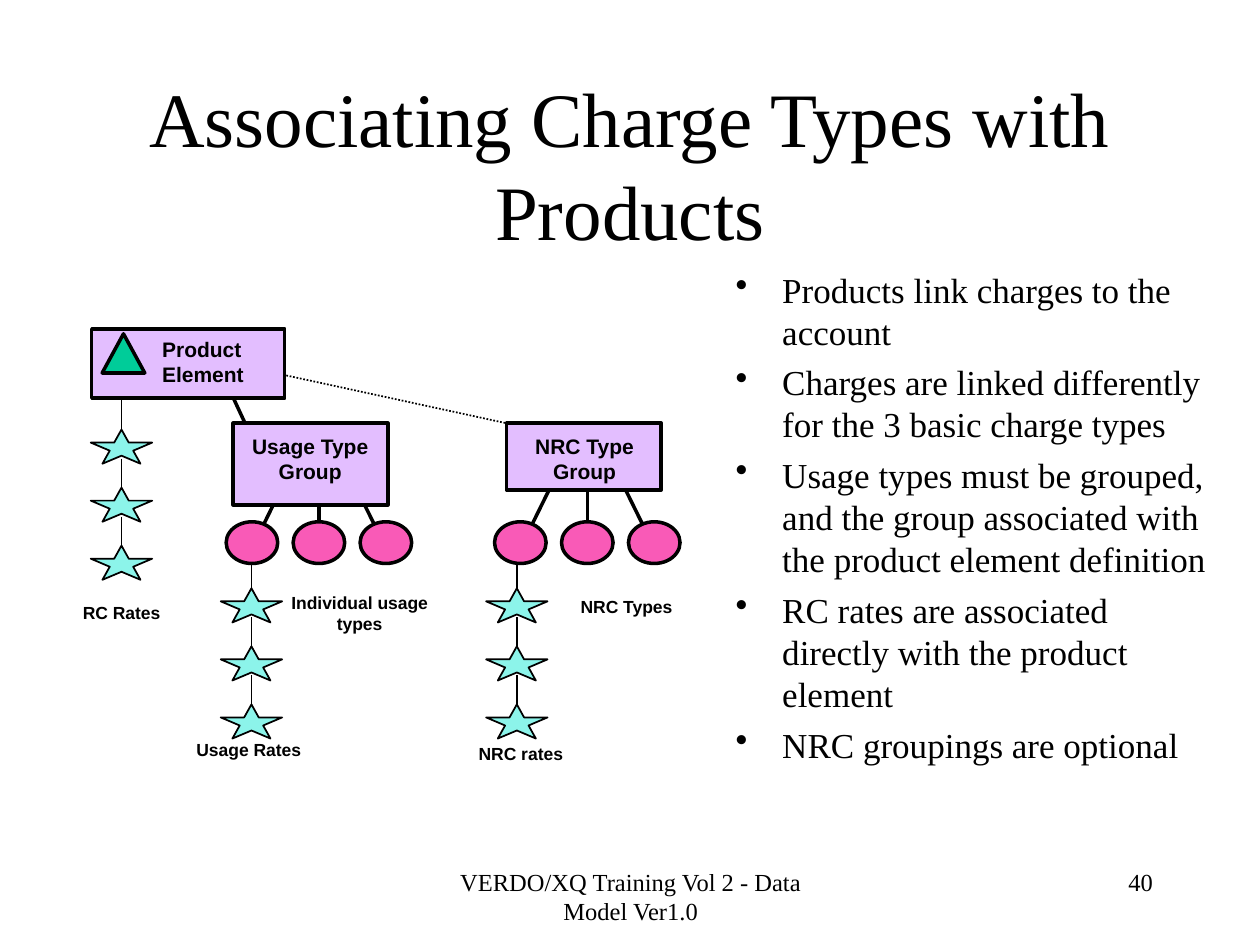
"""Build the slide on associating charge types with products."""
from lxml.etree import SubElement
from pptx import Presentation
from pptx.dml.color import RGBColor
from pptx.enum.dml import MSO_LINE
from pptx.enum.shapes import MSO_CONNECTOR, MSO_SHAPE
from pptx.enum.text import MSO_ANCHOR, PP_ALIGN
from pptx.oxml.ns import qn
from pptx.util import Cm, Pt

BLACK = RGBColor(0x00, 0x00, 0x00)
LILAC = RGBColor(0xE3, 0xBE, 0xFF)
PINK = RGBColor(0xF9, 0x5A, 0xB7)
AQUA = RGBColor(0x8C, 0xF4, 0xEA)
GREEN = RGBColor(0x00, 0xCC, 0x99)

TITLE = "Associating Charge Types with Products"
POINTS = [
    "Products link charges to the account",
    "Charges are linked differently for the 3 basic charge types",
    "Usage types must be grouped, and the group associated with the product element definition",
    "RC rates are associated directly with the product element",
    "NRC groupings are optional",
]
FOOTER = "VERDO/XQ Training Vol 2 - Data Model Ver1.0"
PAGE_NUMBER = "40"

PRODUCT_BOX = (1.85, 6.63, 3.89, 1.4)
GROUP_BOXES = [(4.7, 8.53, 3.12, 1.65), (10.21, 8.53, 3.12, 1.35)]
PRODUCT_MARK = [(2.06, 7.52), (2.92, 7.52), (2.49, 6.73)]
BOX_LABELS = [
    (["Product", "Element"], (3.02, 6.65, 2.16, 1.27), PP_ALIGN.LEFT, False),
    (["Usage Type Group"], (4.78, 8.61, 2.95, 1.27), PP_ALIGN.CENTER, True),
    (["NRC Type Group"], (10.31, 8.61, 2.95, 1.27), PP_ALIGN.CENTER, True),
]
CAPTIONS = [
    ("RC Rates", (1.42, 12.01, 2.36, 0.69), PP_ALIGN.LEFT, True),
    ("Usage Rates", (3.71, 14.78, 2.62, 0.69), PP_ALIGN.LEFT, False),
    ("NRC rates", (9.4, 14.86, 2.97, 0.69), PP_ALIGN.LEFT, True),
    ("Individual usage types", (5.61, 11.81, 3.28, 1.12), PP_ALIGN.CENTER, True),
    ("NRC Types", (11.4, 11.89, 2.46, 0.69), PP_ALIGN.CENTER, True),
]

GROUP_CENTERS = [6.43, 11.84]
SPOKE_TOP, SPOKE_BOTTOM, SPOKE_SPREAD = 9.65, 11.05, 0.66
BUBBLE_TOP, BUBBLE_WIDTH, BUBBLE_HEIGHT, BUBBLE_STEP = 10.52, 1.04, 0.84, 1.35

RATE_COLUMNS = [(1.83, 8.66, 8.05), (4.45, 11.86, 11.38), (9.8, 11.86, 11.38)]
STAR_WIDTH, STAR_HEIGHT, STAR_STEP, STAR_COUNT = 1.24, 0.69, 1.17, 3

presentation = Presentation()
presentation.slide_width, presentation.slide_height = Cm(25.4), Cm(19.05)
slide = presentation.slides.add_slide(presentation.slide_layouts[6])


def add_text(paragraphs, place, size=12, font="Arial", bold=False, align=PP_ALIGN.LEFT,
             anchor=MSO_ANCHOR.TOP, wrap=True, bullet=False):
    frame = slide.shapes.add_textbox(*map(Cm, place)).text_frame
    frame.word_wrap = wrap
    frame.vertical_anchor = anchor
    for index, words in enumerate(paragraphs):
        paragraph = frame.paragraphs[0] if index == 0 else frame.add_paragraph()
        paragraph.alignment = align
        run = paragraph.add_run()
        run.text = words
        run.font.name, run.font.size, run.font.bold = font, Pt(size), bold
        run.font.color.rgb = BLACK
        if bullet:
            paragraph.space_before = Pt(5)
            properties = paragraph._p.get_or_add_pPr()
            properties.set("marL", str(Cm(0.94)))
            properties.set("indent", str(-Cm(0.94)))
            SubElement(properties, qn("a:buChar")).set("char", "•")


def paint(shape, color, weight=2):
    shape.shadow.inherit = False
    shape.fill.solid()
    shape.fill.fore_color.rgb = color
    shape.line.color.rgb = BLACK
    shape.line.width = Pt(weight)


def add_figure(kind, place, color, weight=2):
    paint(slide.shapes.add_shape(kind, *map(Cm, place)), color, weight)


def add_link(x1, y1, x2, y2, weight=2, dash=None):
    link = slide.shapes.add_connector(MSO_CONNECTOR.STRAIGHT, Cm(x1), Cm(y1), Cm(x2), Cm(y2))
    link.line.color.rgb = BLACK
    link.line.width = Pt(weight)
    link.line.dash_style = dash
    SubElement(link._element.spPr, qn("a:effectLst"))


def add_rate_column(left, top, stem_top):
    middle = left + STAR_WIDTH / 2
    for index in range(STAR_COUNT):
        star_top = top + index * STAR_STEP
        add_figure(MSO_SHAPE.STAR_5_POINT, (left, star_top, STAR_WIDTH, STAR_HEIGHT), AQUA, 1)
        link_top = stem_top if index == 0 else star_top - STAR_STEP / 2
        add_link(middle, link_top, middle, star_top, 1)


add_text([TITLE], (1.9, 1.7, 21.6, 3.18), size=44, font="Times New Roman",
         align=PP_ALIGN.CENTER, anchor=MSO_ANCHOR.MIDDLE)
add_text(POINTS, (14.58, 5.28, 9.98, 12.27), size=20, font="Times New Roman", bullet=True)

add_link(4.95, 7.39, 10.8, 8.66, 1, MSO_LINE.ROUND_DOT)
add_link(4.47, 7.52, 5.13, 8.94)
for center in GROUP_CENTERS:
    for side in (-1, 0, 1):
        add_link(center + side * SPOKE_SPREAD, SPOKE_TOP,
                 center + side * BUBBLE_STEP, SPOKE_BOTTOM)

for box in [PRODUCT_BOX, *GROUP_BOXES]:
    add_figure(MSO_SHAPE.RECTANGLE, box, LILAC)
corners = [(Cm(x), Cm(y)) for x, y in PRODUCT_MARK]
builder = slide.shapes.build_freeform(*corners[0])
builder.add_line_segments(corners[1:], close=True)
paint(builder.convert_to_shape(), GREEN)

for center in GROUP_CENTERS:
    for side in (-1, 0, 1):
        bubble_left = center + side * BUBBLE_STEP - BUBBLE_WIDTH / 2
        add_figure(MSO_SHAPE.OVAL, (bubble_left, BUBBLE_TOP, BUBBLE_WIDTH, BUBBLE_HEIGHT), PINK)

for words, place, align, wrap in BOX_LABELS:
    add_text(words, place, bold=True, align=align, wrap=wrap)
for caption, place, align, wrap in CAPTIONS:
    add_text([caption], place, size=10, bold=True, align=align, wrap=wrap)
for column in RATE_COLUMNS:
    add_rate_column(*column)

add_text([FOOTER], (8.69, 17.35, 8.05, 1.27), size=14, font="Times New Roman",
         align=PP_ALIGN.CENTER)
add_text([PAGE_NUMBER], (18.21, 17.35, 5.28, 1.27), size=14, font="Times New Roman",
         align=PP_ALIGN.RIGHT)

presentation.save("out.pptx")
